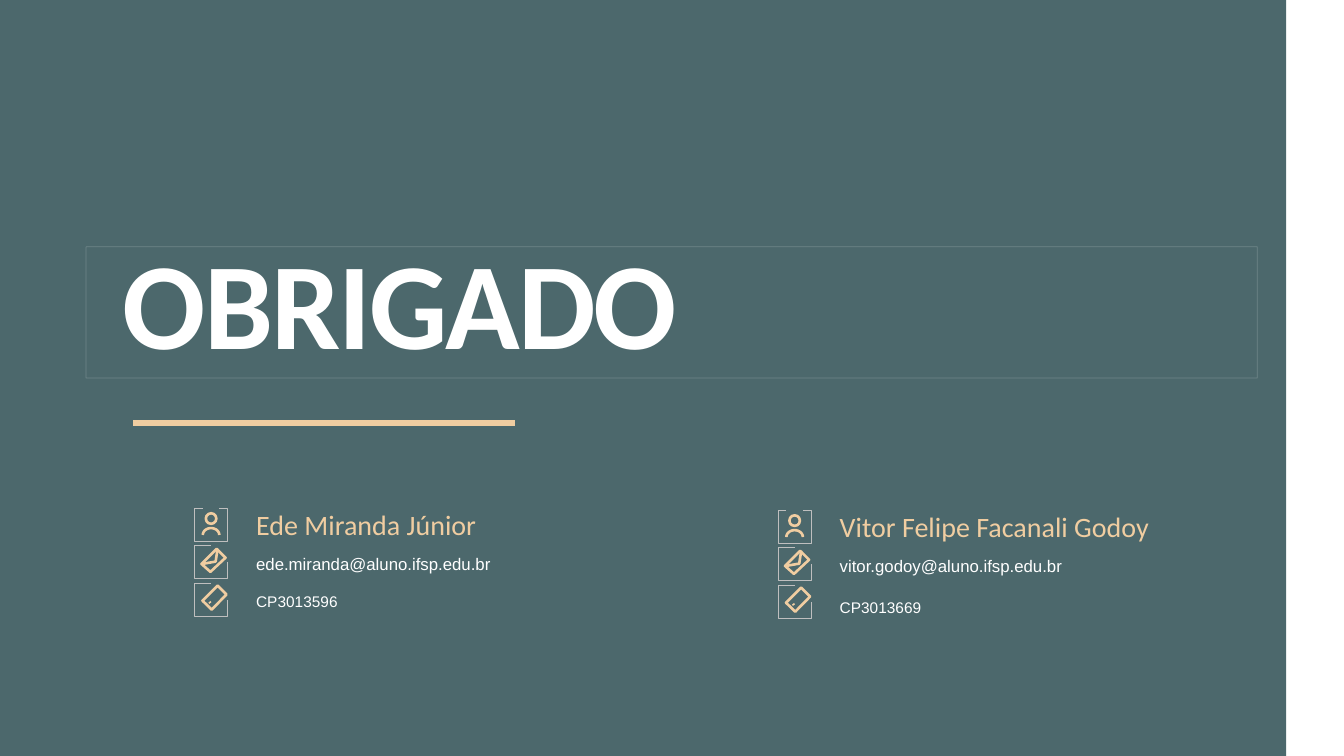
from math import cos, pi, sin

from lxml import etree
from pptx import Presentation
from pptx.dml.color import RGBColor
from pptx.enum.shapes import MSO_CONNECTOR, MSO_SHAPE
from pptx.enum.text import MSO_ANCHOR, PP_ALIGN
from pptx.oxml.ns import qn
from pptx.util import Inches, Pt

RECT, OVAL = MSO_SHAPE.RECTANGLE, MSO_SHAPE.OVAL
STRAIGHT = MSO_CONNECTOR.STRAIGHT
MIDDLE, TOP = MSO_ANCHOR.MIDDLE, MSO_ANCHOR.TOP
LEFT = PP_ALIGN.LEFT

COLORS = {"panel": "00292E", "white": "FFFFFF", "accent": "F0CDA1", "frame": "BFBFBF"}
ICON_W, ICON_H = 2.45, 4.36
ICON_STEP = 5

CORNER = [(1, 0.5), (1, 1), (0, 1), (0, 0), (0.5, 0)]
BRACKET = [(0.75, 0), (1, 0), (1, 1), (0, 1), (0, 0), (0.25, 0)]
SHOULDERS = [(0.5 - 0.25 * cos(pi * i / 16), 0.82 - 0.21 * sin(pi * i / 16)) for i in range(17)]
ENVELOPE = [(0.21, 0.55), (0.67, 0.09), (0.94, 0.36), (0.48, 0.79)]
FLAP = [(0.23, 0.55), (0.64, 0.48), (0.7, 0.09)]
TAG = [(0.24, 0.52), (0.7, 0.06), (0.97, 0.33), (0.52, 0.79)]
TAG_HOLE = [(0.45, 0.55), (0.48, 0.59)]


class Deck:
    """Hold the style and current slide; lengths are percent of the slide's size."""

    def __init__(self):
        """Start a widescreen presentation with one blank slide."""
        self.prs = Presentation()
        self.prs.slide_width, self.prs.slide_height = Inches(13.33), Inches(7.5)
        self.s = self.prs.slides.add_slide(self.prs.slide_layouts[6])

    def x(self, share):
        """Convert a percent of the width to EMU."""
        return round(self.prs.slide_width * share / 100)

    def y(self, share):
        """Convert a percent of the height to EMU."""
        return round(self.prs.slide_height * share / 100)

    def box(self, x, y, w, h):
        """Convert a box in percent to EMU."""
        return self.x(x), self.y(y), self.x(w), self.y(h)

    def paint(self, fill, color, alpha=None):
        """Set a solid colour, optionally with an opacity percent."""
        fill.solid()
        fill.fore_color.rgb = RGBColor.from_string(COLORS[color])
        if alpha:
            for clr in fill._xPr.iter(qn("a:srgbClr")):
                etree.SubElement(clr, qn("a:alpha"), val=str(alpha * 1000))

    def outline(self, sp, color, width, alpha=None):
        """Leave a shape unfilled and stroke its outline."""
        sp.shadow.inherit = False
        sp.fill.background()
        self.paint(sp.line.fill, color, alpha)
        sp.line.width = Pt(width)

    def panel(self, x, y, w, h, color, alpha):
        """Add a translucent rectangle without outline."""
        sp = self.s.shapes.add_shape(RECT, *self.box(x, y, w, h))
        sp.shadow.inherit = False
        self.paint(sp.fill, color, alpha)
        sp.line.fill.background()
        return sp

    def shape(self, kind, x, y, w, h, color, width, alpha=None):
        """Add an outlined preset shape."""
        sp = self.s.shapes.add_shape(kind, *self.box(x, y, w, h))
        self.outline(sp, color, width, alpha)

    def rule(self, x, y, w, color, width):
        """Add a horizontal line."""
        ln = self.s.shapes.add_connector(STRAIGHT, self.x(x), self.y(y), self.x(x + w), self.y(y))
        self.paint(ln.line.fill, color)
        ln.line.width = Pt(width)
        etree.SubElement(ln._element.spPr, qn("a:effectLst"))

    def stroke(self, x, y, points, color="accent", width=1.88, close=False):
        """Draw a line through points given in shares of an icon placed at x, y."""
        pts = [(self.x(x + px * ICON_W), self.y(y + py * ICON_H)) for px, py in points]
        fb = self.s.shapes.build_freeform(*pts[0])
        fb.add_line_segments(pts[1:], close=close)
        self.outline(fb.convert_to_shape(), color, width)

    def person(self, x, y):
        """Draw the person icon."""
        self.shape(OVAL, x + 0.34 * ICON_W, y + 0.16 * ICON_H,
                   0.32 * ICON_W, 0.32 * ICON_H, "accent", 1.88)
        self.stroke(x, y, SHOULDERS)
        self.stroke(x, y, BRACKET, "frame", 0.75)

    def mail(self, x, y):
        """Draw the envelope icon."""
        self.stroke(x, y, ENVELOPE, close=True)
        self.stroke(x, y, FLAP)
        self.stroke(x, y, CORNER, "frame", 0.75)

    def tag(self, x, y):
        """Draw the tag icon."""
        self.stroke(x, y, TAG, close=True)
        self.stroke(x, y, TAG_HOLE)
        self.stroke(x, y, CORNER, "frame", 0.75)

    def add_text(self, sp, text, font, size, color, anchor=TOP, margins=(0, 0, 0, 0), bold=False):
        """Fill a shape with one left-aligned run and return its paragraph and run."""
        tf = sp.text_frame
        tf.word_wrap = True
        tf.vertical_anchor = anchor
        tf.margin_left, tf.margin_top, tf.margin_right, tf.margin_bottom = map(Inches, margins)
        p = tf.paragraphs[0]
        p.alignment = LEFT
        r = p.add_run()
        r.text = text
        r.font.name, r.font.size, r.font.bold = font, Pt(size), bold
        r.font.color.rgb = RGBColor.from_string(COLORS[color])
        return p, r

    def text(self, x, y, w, h, text, font, size, color):
        """Add a text box without margins."""
        tb = self.s.shapes.add_textbox(*self.box(x, y, w, h))
        p, _ = self.add_text(tb, text, font, size, color)
        p.space_after = Pt(10)

    def title(self, sp, text):
        """Set the tightly spaced headline on the panel."""
        p, r = self.add_text(sp, text, "Calibri", 88, "white", MIDDLE, (1.22, 0, 0.2, 1.13), True)
        p.line_spacing = 0.65
        r.font._element.set("spc", "-150")

    def contact(self, x, y, name, mail, number, number_dy):
        """Add a person's three icons and three lines of text."""
        for i, icon in enumerate((self.person, self.mail, self.tag)):
            icon(x, y + i * ICON_STEP)
        tx = x + 4.58
        self.text(tx, y - 0.13, 27.16, 4.8, name, "Calibri", 20, "accent")
        self.text(tx, y + 6, 27.16, 2.93, mail, "Arial", 12, "white")
        self.text(tx, y + number_dy, 27.16, 2.93, number, "Arial", 11, "white")


def main():
    """Build the closing slide."""
    deck = Deck()
    panel = deck.panel(0, 0, 95.7, 100, "panel", 70)
    deck.title(panel, "OBRIGADO")
    deck.shape(RECT, 6.4, 32.65, 87.15, 17.35, "white", 0.5, 20)
    deck.rule(9.9, 55.95, 28.45, "accent", 4.32)
    deck.contact(14.48, 67.2, "Ede Miranda Júnior", "ede.miranda@aluno.ifsp.edu.br",
                 "CP3013596", 11.07)
    deck.contact(57.9, 67.47, "Vitor Felipe Facanali Godoy", "vitor.godoy@aluno.ifsp.edu.br",
                 "CP3013669", 11.6)
    deck.prs.save("out.pptx")


if __name__ == "__main__":
    main()
